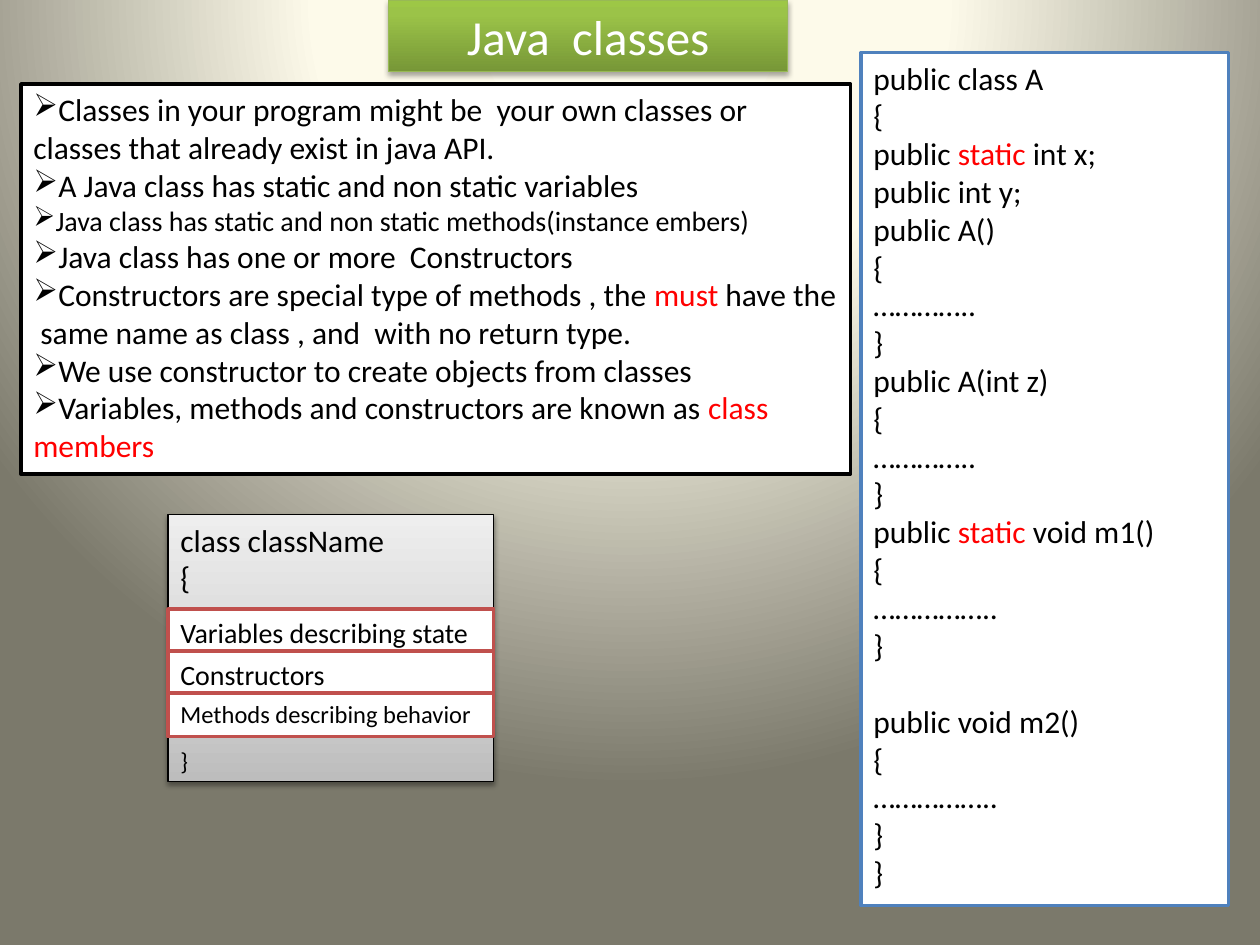
import lxml.etree
import pptx
import pptx.dml.color
import pptx.enum.shapes
import pptx.enum.text
import pptx.oxml.ns
import pptx.util

Pt = pptx.util.Pt
RGBColor = pptx.dml.color.RGBColor
PP_ALIGN = pptx.enum.text.PP_ALIGN
qn = pptx.oxml.ns.qn

BLACK = RGBColor(0x00, 0x00, 0x00)
WHITE = RGBColor(0xFF, 0xFF, 0xFF)
RED = RGBColor(0xFF, 0x00, 0x00)
BLUE = RGBColor(0x4F, 0x81, 0xBD)
BRICK = RGBColor(0xC0, 0x50, 0x4D)
GREEN = RGBColor(0x98, 0xB9, 0x55)
GREEN_SHADES = [
    (0, RGBColor(0x77, 0x97, 0x37)),
    (80, RGBColor(0x9B, 0xC3, 0x48)),
    (100, RGBColor(0x9D, 0xC7, 0x46)),
]
GREY_SHADES = [
    (0, RGBColor(0xBD, 0xBD, 0xBD)),
    (35, RGBColor(0xD1, 0xD1, 0xD1)),
    (100, RGBColor(0xEE, 0xEE, 0xEE)),
]
BACKDROP_SHADES = [
    (0, RGBColor(0xFE, 0xFC, 0xEE)),
    (40, RGBColor(0xFD, 0xFA, 0xEA)),
    (100, RGBColor(0x7B, 0x79, 0x6B)),
]

LINE_HEIGHT = 1.22
FRAME_FORMAT = {
    "word_wrap": True,
    "auto_size": pptx.enum.text.MSO_AUTO_SIZE.SHAPE_TO_FIT_TEXT,
    "vertical_anchor": pptx.enum.text.MSO_ANCHOR.TOP,
}

POINTS = [
    ("Classes in your program might be  your own classes or  classes that already exist in java API.", 18),
    ("A Java class has static and non static variables", 18),
    ("Java class has static and non static methods(instance embers)", 16),
    ("Java class has one or more  Constructors", 18),
    ("Constructors are special type of methods , the |must| have the  same name as class , and  with no return type.", 18),
    ("We use constructor to create objects from classes", 18),
    ("Variables, methods and constructors are known as |class members", 18),
]
FIELDS = ["public class A", "{", "public |static |int x;", "public int y;"]
METHODS = [
    ("public A()", "…………..", 0),
    ("public A(int z)", "…………..", 0),
    ("public |static| void m1()", "……………..", 0),
    ("public void m2()", "……………..", 1),
]
MEMBERS = [
    ("Variables describing state", 16, 27),
    ("Constructors", 16, 27),
    ("Methods describing behavior", 14, 25),
]


def apply_format(target, values):
    """Set each named attribute of the target."""
    for name, value in values.items():
        setattr(target, name, value)


def shade(fill, root, stops, direction):
    """Give a fill its gradient stops and its direction element."""
    fill.gradient()
    gradient = next(root.iter(qn("a:gradFill")))
    for child in list(gradient):
        gradient.remove(child)
    stop_list = lxml.etree.SubElement(gradient, qn("a:gsLst"))
    for position, colour in stops:
        stop = lxml.etree.SubElement(stop_list, qn("a:gs"), pos=str(position * 1000))
        lxml.etree.SubElement(stop, qn("a:srgbClr"), val=str(colour))
    gradient.append(direction)


def add_shadow(panel, opacity, distance):
    """Drop a soft black shadow below a panel."""
    effects = panel._element.spPr.find(qn("a:effectLst"))
    shadow = lxml.etree.SubElement(
        effects, qn("a:outerShdw"), blurRad=str(Pt(3.1)), dist=str(Pt(distance)),
        dir="5400000", rotWithShape="0")
    colour = lxml.etree.SubElement(shadow, qn("a:srgbClr"), val=str(BLACK))
    lxml.etree.SubElement(colour, qn("a:alpha"), val=str(opacity * 1000))


def add_panel(shapes, box, border, weight, stops=None):
    """Add a bordered rectangle, white or shaded from the bottom up."""
    panel = shapes.add_shape(
        pptx.enum.shapes.MSO_SHAPE.RECTANGLE, *(Pt(length) for length in box))
    panel.shadow.inherit = False
    if stops:
        upward = lxml.etree.Element(qn("a:lin"), ang="16200000", scaled="0")
        shade(panel.fill, panel._element.spPr, stops, upward)
    else:
        panel.fill.solid()
        panel.fill.fore_color.rgb = WHITE
    panel.line.color.rgb = border
    panel.line.width = Pt(weight)
    apply_format(panel.text_frame, FRAME_FORMAT)
    return panel


def write_lines(panel, lines, colour=BLACK, align=PP_ALIGN.LEFT, bullet=None):
    """Write (text, size, gap) lines, where text between bars is red."""
    frame = panel.text_frame
    for index, (text, size, gap) in enumerate(lines):
        paragraph = frame.add_paragraph() if index else frame.paragraphs[0]
        apply_format(paragraph, {"alignment": align, "space_before": Pt(gap)})
        if bullet:
            lxml.etree.SubElement(
                paragraph._p.get_or_add_pPr(), qn("a:buChar"), char=bullet)
        for number, part in enumerate(text.split("|")):
            run = paragraph.add_run()
            run.text = part
            apply_format(run.font, {"name": "Calibri", "size": Pt(size)})
            run.font.color.rgb = RED if number % 2 else colour


def paint_backdrop(slide):
    """Fill the background with a glow from above the top edge."""
    glow = lxml.etree.Element(qn("a:path"), path="circle")
    lxml.etree.SubElement(
        glow, qn("a:fillToRect"), l="50000", t="-80000", r="50000", b="180000")
    shade(slide.background.fill, slide._element, BACKDROP_SHADES, glow)


def add_title(slide, box):
    """Add the green title bar."""
    title = add_panel(slide.shapes, box, GREEN, 0.75, GREEN_SHADES)
    add_shadow(title, 35, 1.8)
    write_lines(title, [("Java  classes", 28, 0)], WHITE, PP_ALIGN.CENTER)


def add_points(slide, box):
    """Add the bulleted facts about classes."""
    points = add_panel(slide.shapes, box, BLACK, 2)
    write_lines(points, [(text, size, 0) for text, size in POINTS], bullet="➢")


def add_code(slide, box):
    """Add the sample class listing."""
    size = 18
    listing = [(text, size, 0) for text in FIELDS]
    for signature, body, blank_lines in METHODS:
        listing.append((signature, size, blank_lines * size * LINE_HEIGHT))
        listing += [(text, size, 0) for text in ("{", body, "}")]
    listing.append(("}", size, 0))
    write_lines(add_panel(slide.shapes, box, BLUE, 2), listing)


def add_class_outline(slide, box):
    """Add the class skeleton with its stacked member rows."""
    left, top, width, _ = box
    outline = slide.shapes.add_group_shape()
    skeleton = add_panel(outline.shapes, box, BLACK, 0.75, GREY_SHADES)
    add_shadow(skeleton, 38, 1.6)
    member_gap = 5 * 14 * LINE_HEIGHT
    write_lines(skeleton, [("class className", 18, 0), ("{", 18, 0), ("}", 14, member_gap)])
    for row, (text, size, height) in enumerate(MEMBERS):
        row_box = (left, top + 54 + 24 * row, width, height)
        write_lines(add_panel(outline.shapes, row_box, BRICK, 2), [(text, size, 0)])


def main():
    """Build and save the slide."""
    deck = pptx.Presentation()
    apply_format(deck, {"slide_width": Pt(720), "slide_height": Pt(540)})
    slide = deck.slides.add_slide(deck.slide_layouts[6])
    paint_backdrop(slide)
    add_title(slide, (222, 0, 228, 41))
    add_points(slide, (12, 48, 474, 223))
    add_code(slide, (492, 30, 210, 487.5))
    add_class_outline(slide, (96, 294, 186, 152.5))
    deck.save("out.pptx")


if __name__ == "__main__":
    main()
